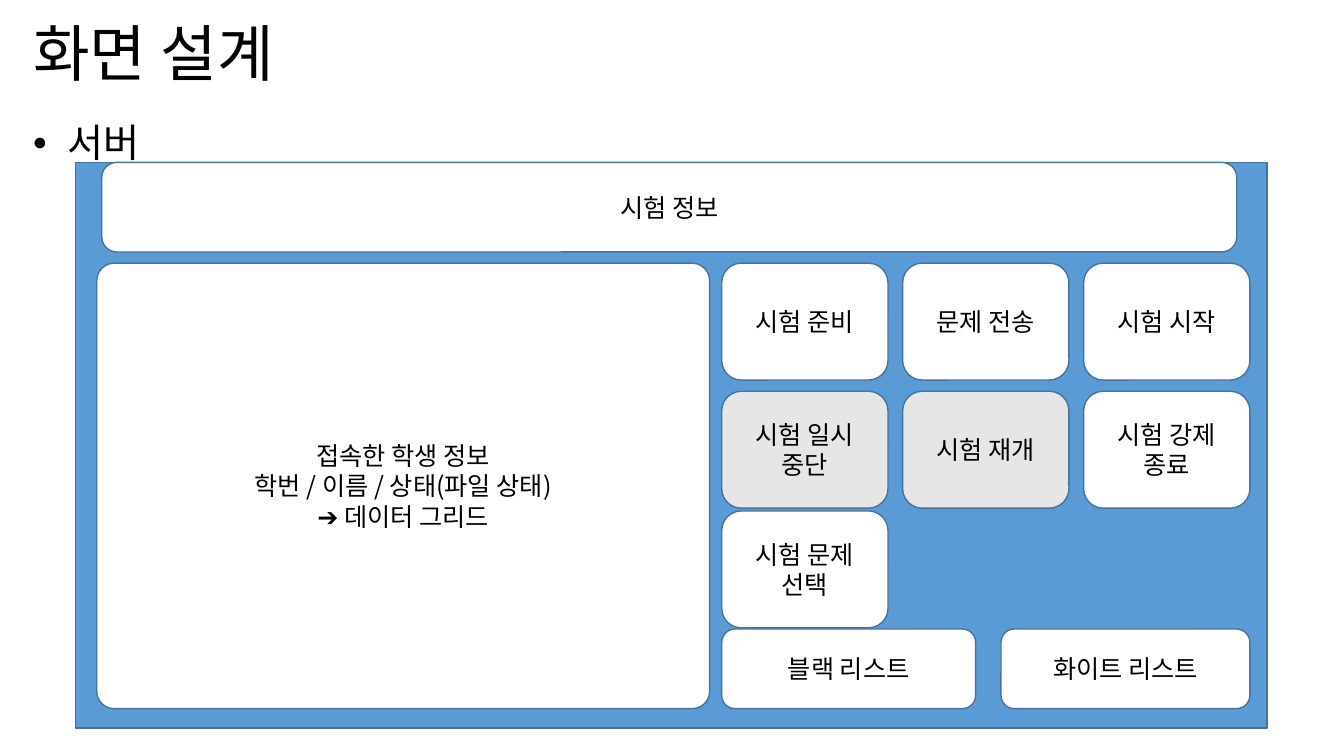
from pptx import Presentation
from pptx.dml.color import RGBColor
from pptx.enum import shapes, text
from pptx.oxml import ns, xmlchemy as xml
from pptx.util import Pt

FONT = "Noto Sans CJK KR"
BLACK = RGBColor(0x00, 0x00, 0x00)
WHITE = RGBColor(0xFF, 0xFF, 0xFF)
GRAY = RGBColor(0xE7, 0xE6, 0xE6)
BLUE = RGBColor(0x5B, 0x9B, 0xD5)
EDGE = RGBColor(0x43, 0x73, 0x9E)
RECT = shapes.MSO_SHAPE.RECTANGLE
ROUND = shapes.MSO_SHAPE.ROUNDED_RECTANGLE


def write(frame, lines, size, align):
    """Fill a text frame with one paragraph per line."""
    frame.text = "\n".join(lines)
    frame.word_wrap = True
    for para in frame.paragraphs:
        para.alignment = align
        font = para.font
        font.name, font.size, font.color.rgb = FONT, Pt(size), BLACK
        # Korean glyphs take the East Asian typeface
        latin = font._element.find(ns.qn("a:latin"))
        east = xml.OxmlElement("a:ea")
        east.set("typeface", FONT)
        latin.addnext(east)


def block(slide, kind, box, fill, *lines):
    """Add an outlined block with centred lines."""
    shape = slide.shapes.add_shape(kind, *map(Pt, box))
    shape.shadow.inherit = False
    shape.fill.solid()
    shape.fill.fore_color.rgb = fill
    shape.line.color.rgb = EDGE
    shape.line.width = Pt(1)
    if lines:
        write(shape.text_frame, lines, 18, text.PP_ALIGN.CENTER)
    return shape


def heading(slide, box, words):
    title = slide.shapes.title
    title.left, title.top, title.width, title.height = map(Pt, box)
    frame = title.text_frame
    write(frame, [words], 44, text.PP_ALIGN.LEFT)
    frame.auto_size = text.MSO_AUTO_SIZE.NONE
    frame.vertical_anchor = text.MSO_ANCHOR.MIDDLE
    frame.paragraphs[0].line_spacing = 0.9


def bullet(slide, box, words):
    frame = slide.shapes.add_textbox(*map(Pt, box)).text_frame
    write(frame, [words], 28, text.PP_ALIGN.LEFT)
    para = frame.paragraphs[0]
    para.line_spacing, para.space_before = 0.9, Pt(10)
    props = para._p.get_or_add_pPr()
    props.set("marL", str(Pt(18)))
    props.set("indent", str(Pt(-18)))
    font = xml.OxmlElement("a:buFont")
    font.set("typeface", "Arial")
    mark = xml.OxmlElement("a:buChar")
    mark.set("char", "•")
    after = props.find(ns.qn("a:defRPr"))
    after.addprevious(font)
    after.addprevious(mark)


def buttons(slide, box):
    """Lay out exam controls in three columns, then the two lists."""
    left, top, width, height = box
    wide, high = 118.8, 83.5
    step = (width - wide) / 2
    rows = [
        (0, [("시험 준비", WHITE), ("문제 전송", WHITE), ("시험 시작", WHITE)]),
        (91.5, [("시험 일시 중단", GRAY), ("시험 재개", GRAY),
                ("시험 강제 종료", WHITE)]),
        (177, [("시험 문제 선택", WHITE)]),
    ]
    for down, row in rows:
        for col, (name, fill) in enumerate(row):
            place = (left + col * step, top + down, wide, high)
            block(slide, ROUND, place, fill, name)

    # Lists along the bottom edge
    deep = 56.9
    base = top + height - deep
    black, white = 181.4, 177.8
    block(slide, ROUND, (left, base, black, deep), WHITE, "블랙 리스트")
    block(slide, ROUND, (left + width - white, base, white, deep), WHITE,
          "화이트 리스트")


def server(slide, box):
    """Server screen: exam info, student grid and controls."""
    left, top, width, height = box
    block(slide, RECT, box, BLUE)
    body, high = top + 72, 318.2
    grid = block(slide, ROUND, (left + 15.1, body, 437.8, high), WHITE,
                 "접속한 학생 정보", "학번 / 이름 / 상태(파일 상태)",
                 "➔ 데이터 그리드")
    grid.adjustments[0] = 0.039
    buttons(slide, (left + 461.5, body, 377.3, high))
    block(slide, ROUND, (left + 18.7, top, 810.7, 64), WHITE, "시험 정보")


deck = Presentation()
deck.slide_width, deck.slide_height = Pt(960), Pt(540)
page = deck.slides.add_slide(deck.slide_layouts[5])
heading(page, (16.6, 6.5, 927.4, 67.7), "화면 설계")
bullet(page, (16.6, 85, 927.4, 56.9), " 서버")
server(page, (54, 116, 851, 404))
deck.save("out.pptx")
